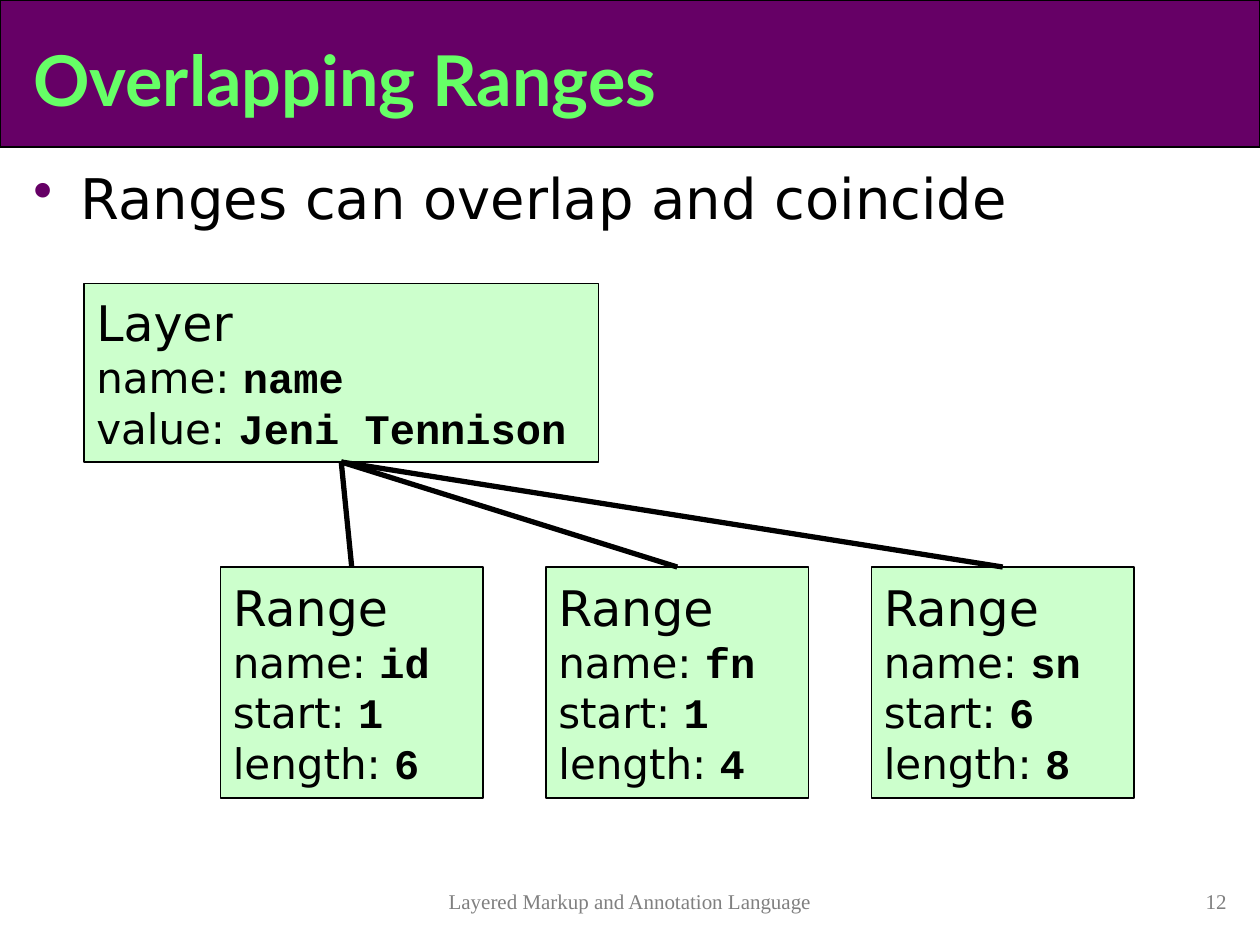
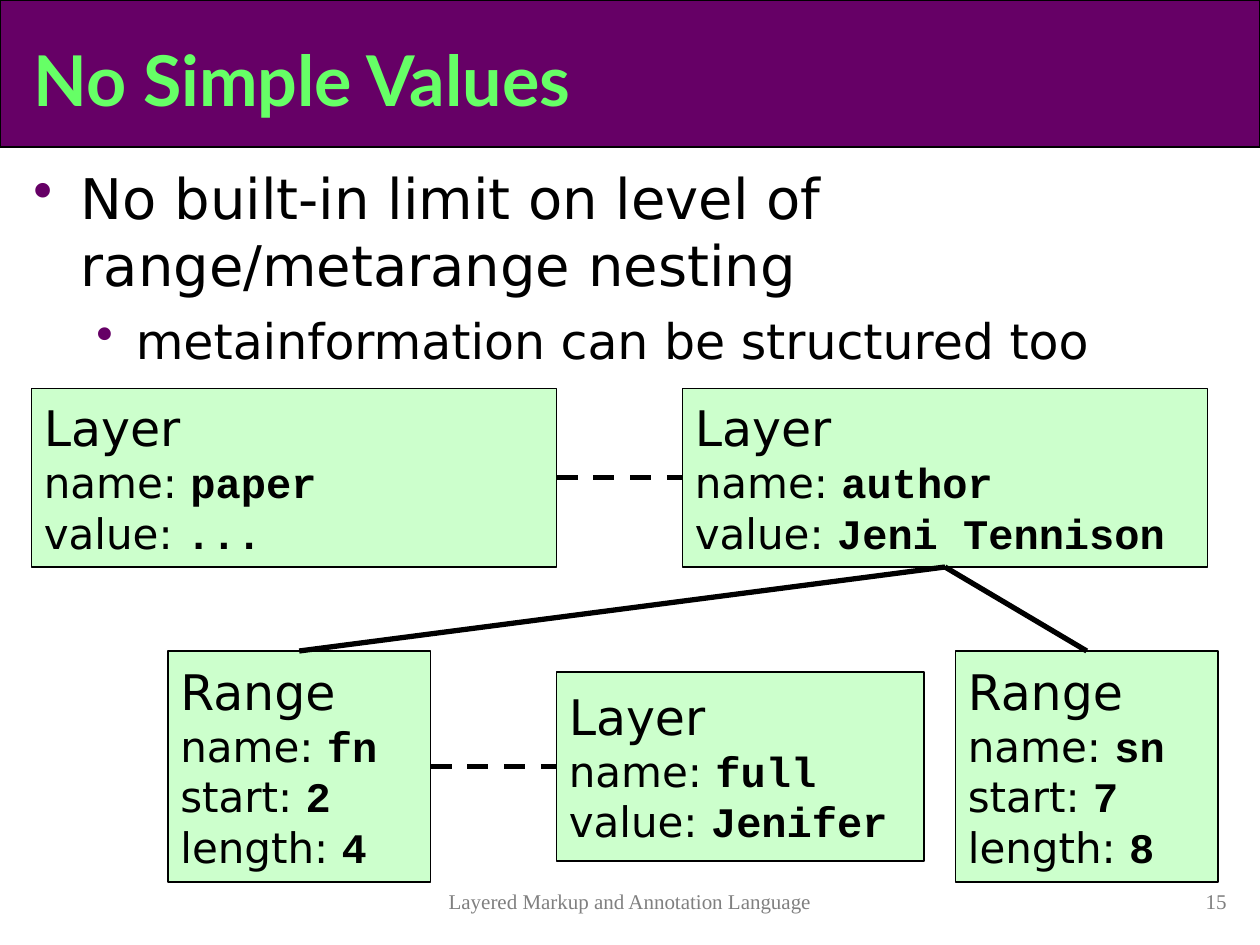
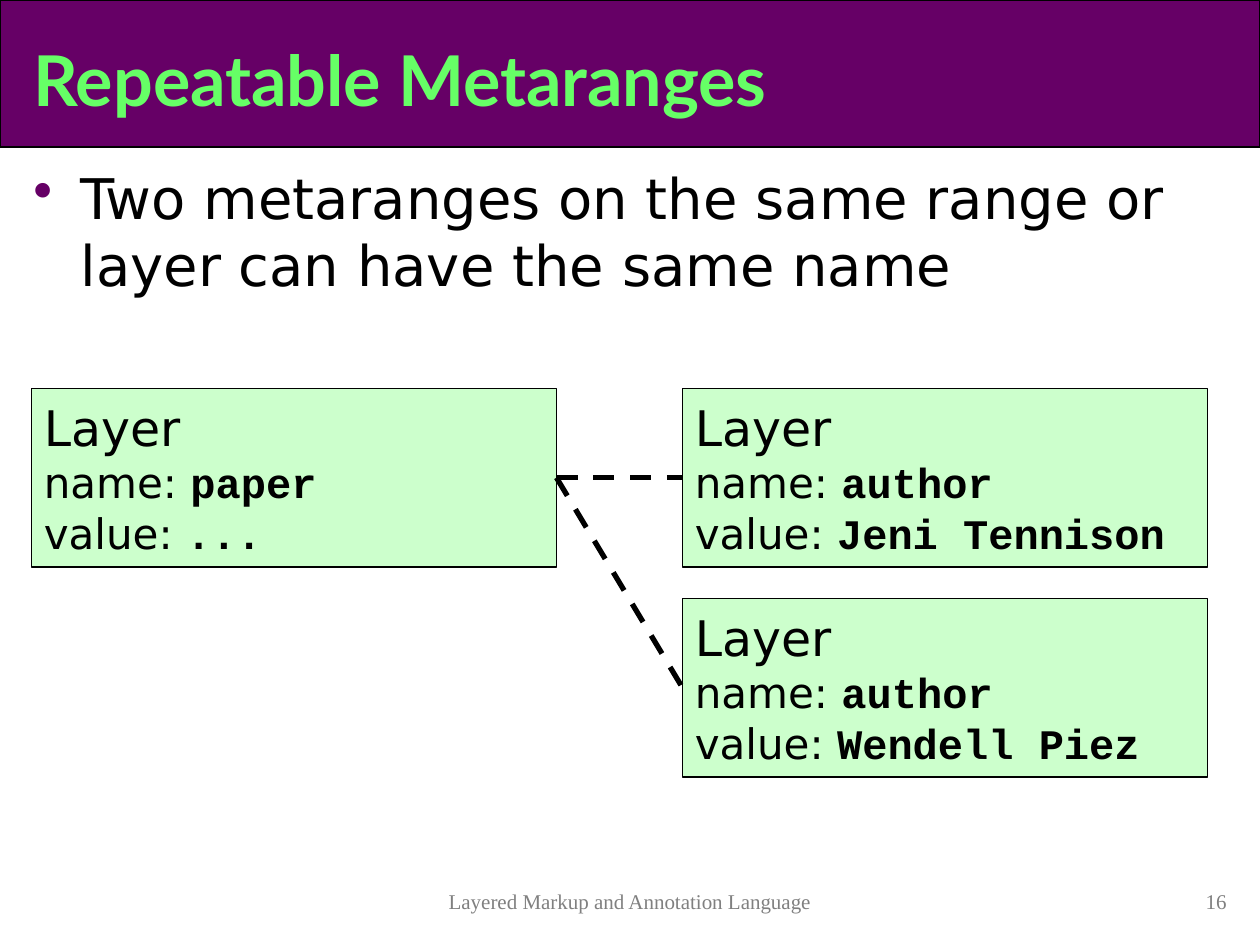
from dataclasses import dataclass

from lxml import etree
from pptx import Presentation
from pptx import util as u
from pptx.dml import color as dml
from pptx.enum import dml as lines, shapes, text
from pptx.oxml import ns

FOOTER = "Layered Markup and Annotation Language"

PAPER = ("Layer", {"name": "paper", "value": "..."})
AUTHOR_JENI = ("Layer", {"name": "author", "value": "Jeni Tennison"})
AUTHOR_WENDELL = ("Layer", {"name": "author", "value": "Wendell Piez"})
RANGE_SIZE, LAYER_SIZE = (150, 132), (300, 102)

# rows: (middle, [(key, gap before, size, content)]); links: (from, to, is metarange)
SLIDES = [
    {
        "number": 12,
        "title": "Overlapping Ranges",
        "points": [(0, "Ranges can overlap and coincide")],
        "rows": [
            (213, [("layer", 48, (294, 102),
                    ("Layer", {"name": "name", "value": "Jeni Tennison"}))]),
            (390, [
                ("id", 126, RANGE_SIZE, ("Range", {"name": "id", "start": 1, "length": 6})),
                ("fn", 36, RANGE_SIZE, ("Range", {"name": "fn", "start": 1, "length": 4})),
                ("sn", 36, RANGE_SIZE, ("Range", {"name": "sn", "start": 6, "length": 8})),
            ]),
        ],
        "links": [("layer", "id", False), ("layer", "fn", False), ("layer", "sn", False)],
    },
    {
        "number": 15,
        "title": "No Simple Values",
        "points": [
            (0, "No built-in limit on level of range/metarange nesting"),
            (1, "metainformation can be structured too"),
        ],
        "rows": [
            (273, [("paper", 18, LAYER_SIZE, PAPER), ("author", 72, LAYER_SIZE, AUTHOR_JENI)]),
            (438, [
                ("fn", 96, RANGE_SIZE, ("Range", {"name": "fn", "start": 2, "length": 4})),
                ("full", 72, (210, 108), ("Layer", {"name": "full", "value": "Jenifer"})),
                ("sn", 18, RANGE_SIZE, ("Range", {"name": "sn", "start": 7, "length": 8})),
            ]),
        ],
        "links": [("author", "fn", False), ("author", "sn", False),
                  ("fn", "full", True), ("paper", "author", True)],
    },
    {
        "number": 16,
        "title": "Repeatable Metaranges",
        "points": [(0, "Two metaranges on the same range or layer can have the same name")],
        "rows": [
            (273, [("paper", 18, LAYER_SIZE, PAPER), ("jeni", 72, LAYER_SIZE, AUTHOR_JENI)]),
            (393, [("wendell", 390, LAYER_SIZE, AUTHOR_WENDELL)]),
        ],
        "links": [("paper", "jeni", True), ("paper", "wendell", True)],
    },
]


@dataclass(frozen=True)
class Theme:
    purple: str = "660066"
    lime: str = "66FF66"
    mint: str = "CCFFCC"
    black: str = "000000"
    grey: str = "808080"
    title_font: str = "Lato"
    body_font: str = "DejaVu Sans"
    code_font: str = "Courier New"
    footer_font: str = "Times New Roman"
    title_size: int = 40
    heading_size: int = 28
    field_size: int = 24
    footer_size: int = 12
    point_sizes: tuple = (32, 28)
    point_indents: tuple = ((27, 27), (58.5, 22.5))
    point_spacing: tuple = (8, 7)
    outline: float = 0.75
    link: float = 3


THEME = Theme()


def rgb(value):
    return dml.RGBColor.from_string(value)


def style(run, font, size, colour=THEME.black, bold=False):
    run.font.name = font
    run.font.size = u.Pt(size)
    run.font.bold = bold
    run.font.color.rgb = rgb(colour)


def add_rectangle(slide, bounds, fill):
    rectangle = slide.shapes.add_shape(shapes.MSO_SHAPE.RECTANGLE, *map(u.Pt, bounds))
    rectangle.shadow.inherit = False
    rectangle.fill.solid()
    rectangle.fill.fore_color.rgb = rgb(fill)
    rectangle.line.color.rgb = rgb(THEME.black)
    rectangle.line.width = u.Pt(THEME.outline)
    return rectangle


def add_frame(slide, bounds):
    frame = slide.shapes.add_textbox(*map(u.Pt, bounds)).text_frame
    frame.word_wrap = True
    return frame


def add_footer(slide, bounds, words, align):
    footer = add_frame(slide, bounds).paragraphs[0]
    footer.text = words
    footer.alignment = align
    style(footer.runs[0], THEME.footer_font, THEME.footer_size, THEME.grey)


def add_points(slide, points):
    body = add_frame(slide, (12, 90, 696, 408))
    body.text = "\n".join(words for _, words in points)
    for point, (level, _) in zip(body.paragraphs, points):
        point.level = level
        point.space_before = u.Pt(THEME.point_spacing[level])
        style(point.runs[0], THEME.body_font, THEME.point_sizes[level])
        margin, hanging = THEME.point_indents[level]
        properties = point._p.get_or_add_pPr()
        properties.set("marL", str(u.Pt(margin)))
        properties.set("indent", str(-u.Pt(hanging)))
        bullet_colour = etree.SubElement(properties, ns.qn("a:buClr"))
        etree.SubElement(bullet_colour, ns.qn("a:srgbClr"), val=THEME.purple)
        etree.SubElement(properties, ns.qn("a:buChar"), char="•")


def add_node(slide, bounds, content):
    kind, fields = content
    node = add_rectangle(slide, bounds, THEME.mint)
    frame = node.text_frame
    frame.word_wrap = True
    frame.vertical_anchor = text.MSO_ANCHOR.MIDDLE
    frame.text = "\n".join([kind, *(f"{label}: " for label in fields)])
    heading, *entries = frame.paragraphs
    style(heading.runs[0], THEME.body_font, THEME.heading_size)
    for entry, value in zip(entries, fields.values()):
        style(entry.runs[0], THEME.body_font, THEME.field_size)
        code = entry.add_run()
        code.text = str(value)
        style(code, THEME.code_font, THEME.field_size, bold=True)
    for paragraph in frame.paragraphs:
        paragraph.alignment = text.PP_ALIGN.LEFT
    return node


def add_nodes(slide, rows):
    nodes = {}
    for middle, row in rows:
        left = 0
        for key, gap, (width, height), content in row:
            left += gap
            nodes[key] = add_node(slide, (left, middle - height / 2, width, height), content)
            left += width
    return nodes


def add_link(slide, start, end, is_metarange):
    link = slide.shapes.add_connector(shapes.MSO_CONNECTOR.STRAIGHT, 0, 0, 0, 0)
    start_side, end_side = (3, 1) if is_metarange else (2, 0)
    link.begin_connect(start, start_side)
    link.end_connect(end, end_side)
    link.line.color.rgb = rgb(THEME.black)
    link.line.width = u.Pt(THEME.link)
    if is_metarange:
        link.line.dash_style = lines.MSO_LINE.DASH
    etree.SubElement(link._element.spPr, ns.qn("a:effectLst"))


def add_slide(deck, content):
    slide = deck.slides.add_slide(deck.slide_layouts[6])
    add_rectangle(slide, (0, 0, 720, 84), THEME.purple)
    title = add_frame(slide, (12, 12, 690, 66))
    title.vertical_anchor = text.MSO_ANCHOR.MIDDLE
    title.text = content["title"]
    style(title.paragraphs[0].runs[0], THEME.title_font, THEME.title_size, THEME.lime, True)
    add_points(slide, content["points"])
    nodes = add_nodes(slide, content["rows"])
    for start, end, is_metarange in content["links"]:
        add_link(slide, nodes[start], nodes[end], is_metarange)
    add_footer(slide, (174, 504, 372, 24), FOOTER, text.PP_ALIGN.CENTER)
    add_footer(slide, (558, 504, 150, 24), str(content["number"]), text.PP_ALIGN.RIGHT)


def main():
    deck = Presentation()
    deck.slide_width, deck.slide_height = u.Pt(720), u.Pt(540)
    for content in SLIDES:
        add_slide(deck, content)
    deck.save("out.pptx")


if __name__ == "__main__":
    main()
